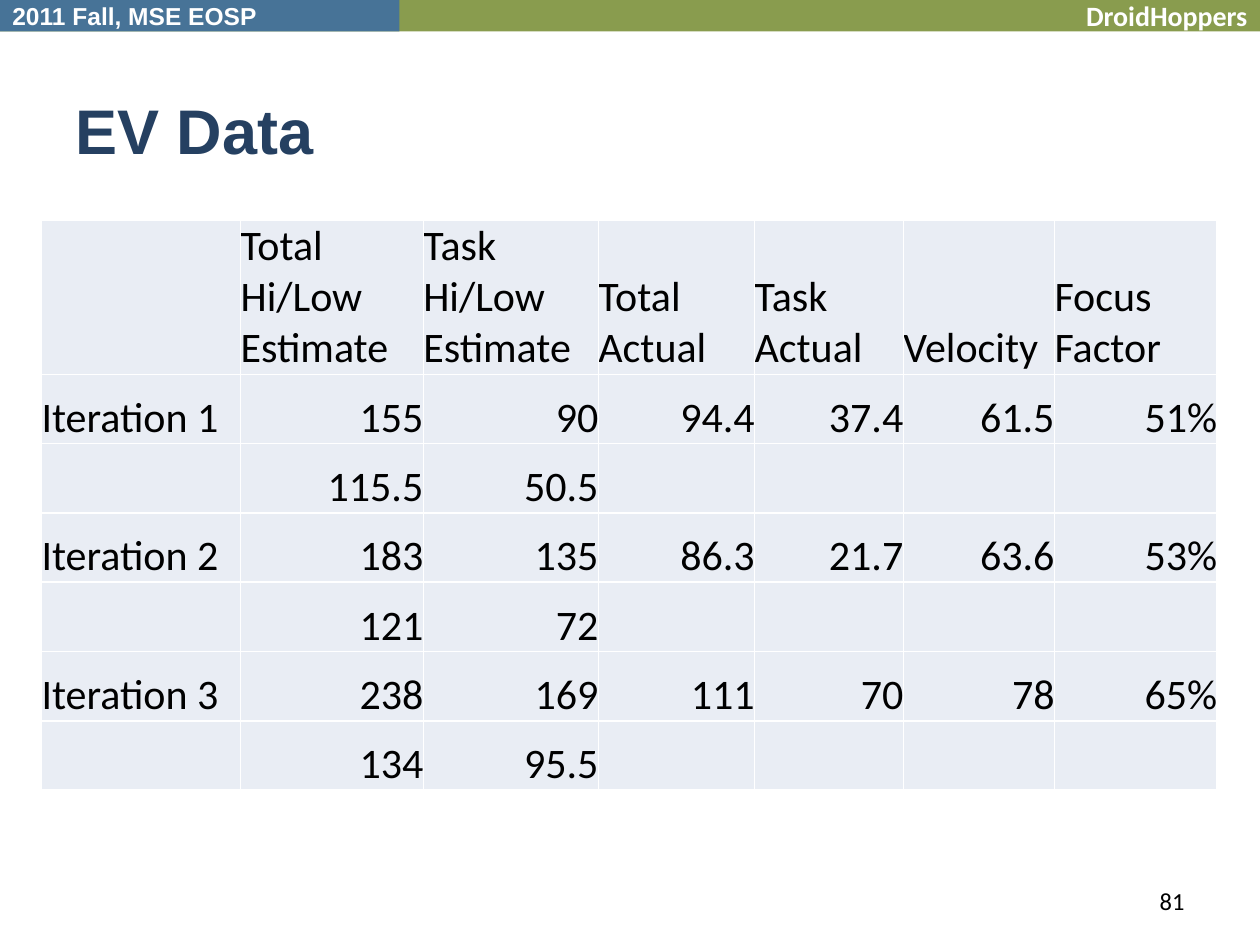
from lxml import etree
from pptx import Presentation
from pptx.dml.color import RGBColor
from pptx.enum import shapes, text
from pptx.oxml import ns
from pptx.util import Inches, Pt

LEFT, RIGHT = text.PP_ALIGN.LEFT, text.PP_ALIGN.RIGHT
COLUMN_WIDTHS = [1.58, 1.45, 1.39, 1.24, 1.18, 1.2, 1.29]
ROW_HEIGHTS = [1.1] + [0.55] * 6
EV_ROWS = [
    ["", "Total Hi/Low\vEstimate", "Task Hi/Low\vEstimate", "Total Actual",
     "Task Actual", "Velocity", "Focus Factor"],
    ["Iteration 1", "155", "90", "94.4", "37.4", "61.5", "51%"],
    ["", "115.5", "50.5", "", "", "", ""],
    ["Iteration 2", "183", "135", "86.3", "21.7", "63.6", "53%"],
    ["", "121", "72", "", "", "", ""],
    ["Iteration 3", "238", "169", "111", "70", "78", "65%"],
    ["", "134", "95.5", "", "", "", ""],
]


def color(value):
    """Turn a hex string into a colour."""
    return RGBColor.from_string(value)


def write(frame, words, size, font, ink, bold=False, align=LEFT):
    """Write one formatted paragraph into a text frame."""
    para = frame.paragraphs[0]
    para.text = words
    para.alignment = align
    for span in para.runs:
        for name, value in {"size": Pt(size), "name": font, "bold": bold}.items():
            setattr(span.font, name, value)
        span.font.color.rgb = color(ink)


def add_bar(page, width, fill, words, size, font, align):
    """Add a header bar that starts at the top left corner."""
    bar = page.shapes.add_shape(shapes.MSO_SHAPE.RECTANGLE, 0, 0, Inches(width), Inches(0.25))
    bar.shadow.inherit = False
    bar.fill.solid()
    bar.fill.fore_color.rgb = color(fill)
    bar.line.fill.background()
    bar.text_frame.vertical_anchor = text.MSO_ANCHOR.MIDDLE
    write(bar.text_frame, words, size, font, "FFFFFF", True, align)


def set_title(page, words):
    """Place and format the title placeholder."""
    title = page.shapes.title
    place = {"left": 0.5, "top": 0.55, "width": 9, "height": 0.95}
    for name, value in place.items():
        setattr(title, name, Inches(value))
    title.text_frame.vertical_anchor = text.MSO_ANCHOR.MIDDLE
    write(title.text_frame, words, 36, "Arial", "254061", True)


def add_borders(cell, ink):
    """Draw a one-point line on every side of a cell."""
    properties = cell._tc.get_or_add_tcPr()
    for index, side in enumerate(["lnL", "lnR", "lnT", "lnB"]):
        line = etree.Element(ns.qn(f"a:{side}"), w=str(Pt(1)))
        fill = etree.SubElement(line, ns.qn("a:solidFill"))
        etree.SubElement(fill, ns.qn("a:srgbClr"), val=ink)
        properties.insert(index, line)


def fill_cell(cell, words, align):
    """Format one table cell and write its text."""
    margins = ["margin_left", "margin_right", "margin_top", "margin_bottom"]
    for name, value in dict.fromkeys(margins, 0).items():
        setattr(cell, name, value)
    cell.vertical_anchor = text.MSO_ANCHOR.BOTTOM
    cell.fill.solid()
    cell.fill.fore_color.rgb = color("E9EDF4")
    add_borders(cell, "FFFFFF")
    if words:
        write(cell.text_frame, words, 24, "Calibri", "000000", align=align)


def add_ev_table(page):
    """Add the table of earned value data."""
    table = page.shapes.add_table(
        len(ROW_HEIGHTS), len(COLUMN_WIDTHS), Inches(0.33), Inches(1.75),
        Inches(sum(COLUMN_WIDTHS)), Inches(sum(ROW_HEIGHTS))).table
    table.first_row = table.horz_banding = False
    for column, width in zip(table.columns, COLUMN_WIDTHS):
        column.width = Inches(width)
    for row, height in zip(table.rows, ROW_HEIGHTS):
        row.height = Inches(height)
    for r, values in enumerate(EV_ROWS):
        for c, words in enumerate(values):
            fill_cell(table.cell(r, c), words, RIGHT if r and c else LEFT)


def add_page_number(page, number):
    """Add the page number at the lower right."""
    box = page.shapes.add_textbox(Inches(7.17), Inches(6.95), Inches(2.33), Inches(0.4))
    box.text_frame.word_wrap = True
    box.text_frame.vertical_anchor = text.MSO_ANCHOR.MIDDLE
    write(box.text_frame, number, 14, "Calibri", "000000", align=RIGHT)


def main():
    """Build and save the slide."""
    deck = Presentation()
    deck.slide_width, deck.slide_height = Inches(10), Inches(7.5)
    page = deck.slides.add_slide(deck.slide_layouts[5])
    add_bar(page, 10, "899C4E", "DroidHoppers", 16, "Calibri", RIGHT)
    add_bar(page, 3.17, "477397", "2011 Fall, MSE EOSP", 14, "Arial", LEFT)
    set_title(page, "EV Data")
    add_ev_table(page)
    add_page_number(page, "81")
    deck.save("out.pptx")


if __name__ == "__main__":
    main()
